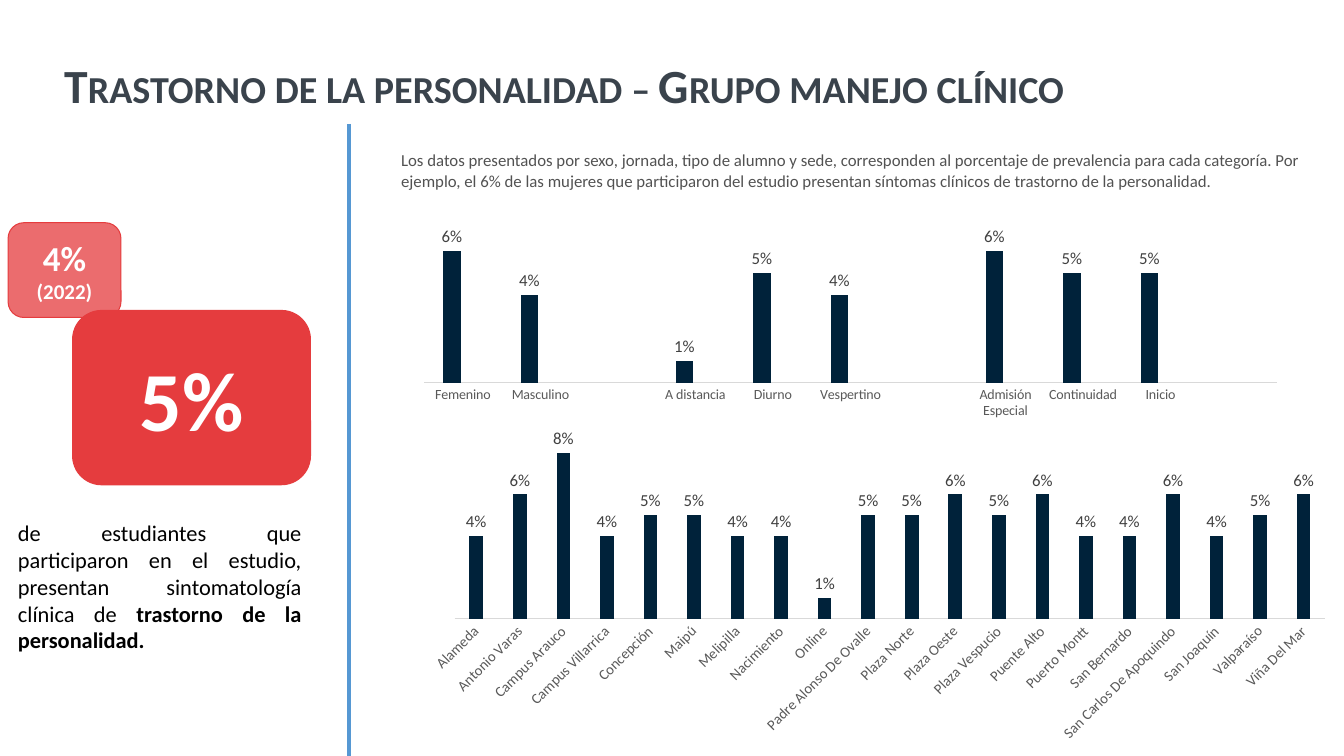
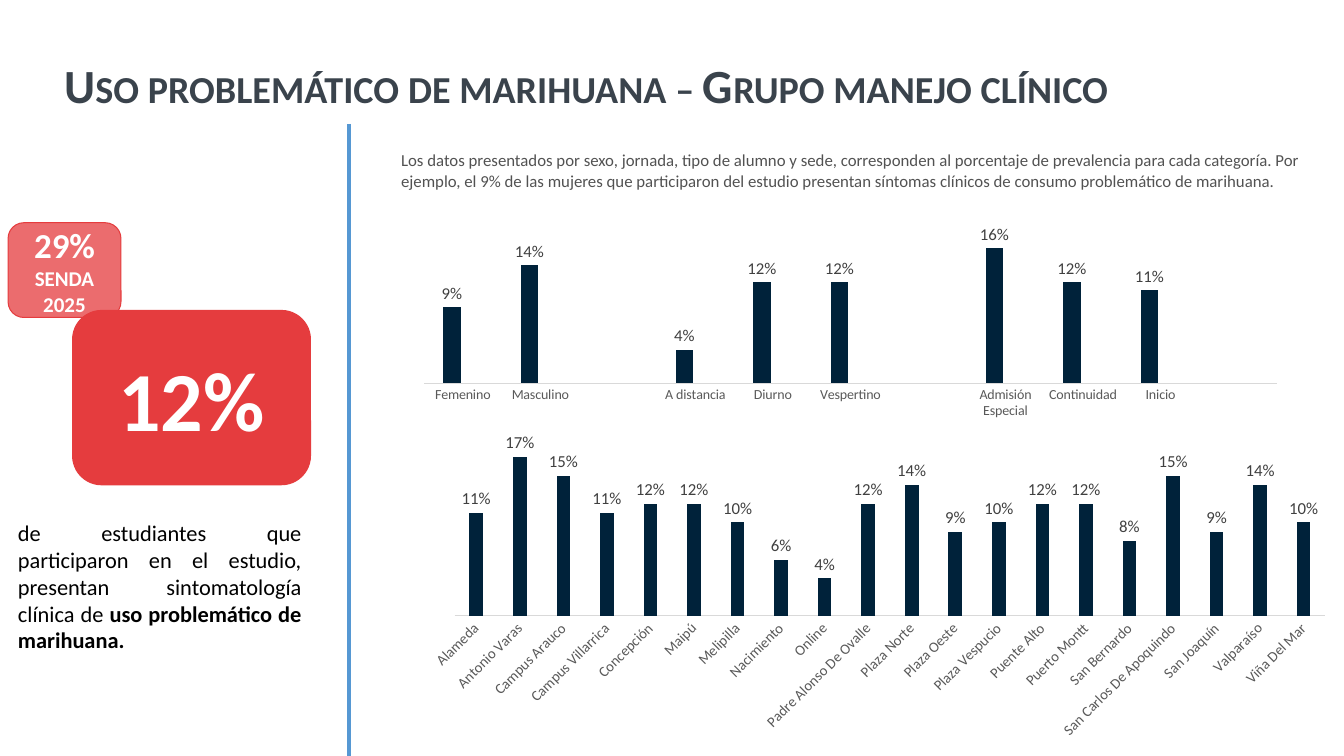
from dataclasses import dataclass
from typing import Any

from lxml.etree import SubElement
from pptx import Presentation
from pptx.chart.data import CategoryChartData
from pptx.dml.color import RGBColor
from pptx.enum.chart import XL_CHART_TYPE as ChartType
from pptx.enum.chart import XL_LABEL_POSITION as LabelPosition
from pptx.enum.chart import XL_TICK_MARK as TickMark
from pptx.enum.shapes import MSO_AUTO_SHAPE_TYPE as ShapeType
from pptx.enum.shapes import MSO_CONNECTOR_TYPE as ConnectorType
from pptx.enum.text import MSO_ANCHOR as Anchor
from pptx.enum.text import PP_ALIGN as Align
from pptx.oxml import parse_xml
from pptx.oxml.ns import nsdecls, qn
from pptx.util import Inches, Pt

RED, WHITE, BLACK, NAVY = "E53C3E", "FFFFFF", "000000", "00223A"
TITLE, NOTE, DIVIDER = "3A434C", "525252", "5698D3"
AXIS_LINE, AXIS_TEXT, LABEL_TEXT = "D9D9D9", "595959", "404040"

GROUPS = (
    "Femenino", "Masculino", " ", "A distancia", "Diurno", "Vespertino", " ",
    "Admisión Especial", "Continuidad", "Inicio", " ",
)
CAMPUSES = (
    "Alameda", "Antonio Varas", "Campus Arauco", "Campus Villarrica",
    "Concepción", "Maipú", "Melipilla", "Nacimiento", "Online",
    "Padre Alonso De Ovalle", "Plaza Norte", "Plaza Oeste", "Plaza Vespucio",
    "Puente Alto", "Puerto Montt", "San Bernardo", "San Carlos De Apoquindo",
    "San Joaquín", "Valparaíso", "Viña Del Mar",
)


@dataclass(frozen=True)
class Box:
    left: float
    top: float
    width: float
    height: float

    def lengths(self) -> tuple:
        return tuple(map(Inches, (self.left, self.top, self.width, self.height)))


@dataclass(frozen=True)
class Run:
    text: str
    size: float
    color: str
    bold: bool = False


@dataclass(frozen=True)
class ColumnChart:
    box: Box
    plot: Box
    categories: tuple
    series: tuple
    maximum: float
    axis_size: float
    rotation: int = 0


@dataclass(frozen=True)
class Topic:
    title: str
    women: str
    symptom: str
    condition: str
    share: str
    reference: str
    reference_source: str
    group_values: tuple
    group_maximum: float
    campus_values: tuple
    campus_maximum: float
    campus_top: float


TOPICS = (
    Topic(
        "Trastorno de la personalidad – Grupo manejo clínico",
        "6%", "trastorno de la personalidad", "trastorno de la personalidad.",
        "5%", "4%", "(2022)",
        (0.06, 0.04, None, 0.01, 0.05, 0.04, None, 0.06, 0.05, 0.05, None), 0.07,
        (0.04, 0.06, 0.08, 0.04, 0.05, 0.05, 0.04, 0.04, 0.01, 0.05,
         0.05, 0.06, 0.05, 0.06, 0.04, 0.04, 0.06, 0.04, 0.05, 0.06), 0.09, 4.22,
    ),
    Topic(
        "Uso problemático de marihuana – Grupo manejo clínico",
        "9%", "consumo problemático de marihuana", "uso problemático de marihuana.",
        "12%", "29%", "SENDA 2025",
        (0.09, 0.14, None, 0.04, 0.12, 0.12, None, 0.16, 0.12, 0.11, None), 0.18,
        (0.11, 0.17, 0.15, 0.11, 0.12, 0.12, 0.1, 0.06, 0.04, 0.12,
         0.14, 0.09, 0.1, 0.12, 0.12, 0.08, 0.15, 0.09, 0.14, 0.1), 0.2, 4.19,
    ),
)


def rgb(color: str) -> RGBColor:
    return RGBColor.from_string(color)


def set_attributes(target: Any, values: dict) -> None:
    for name, value in values.items():
        setattr(target, name, value)


def style_font(font: Any, size: float, color: str, bold: bool = False, name: str = "Calibri") -> None:
    set_attributes(font, {"name": name, "size": Pt(size), "bold": bold})
    font.color.rgb = rgb(color)


def write_text(shape: Any, paragraphs: list, align: Any = Align.LEFT, anchor: Any = Anchor.TOP) -> None:
    frame = shape.text_frame
    set_attributes(frame, {"word_wrap": True, "vertical_anchor": anchor})
    for index, runs in enumerate(paragraphs):
        paragraph = frame.add_paragraph() if index else frame.paragraphs[0]
        paragraph.alignment = align
        for item in runs:
            run = paragraph.add_run()
            run.text = item.text
            style_font(run.font, item.size, item.color, item.bold)


def add_text(slide: Any, box: Box, runs: list, **layout: Any) -> Any:
    shape = slide.shapes.add_textbox(*box.lengths())
    write_text(shape, [runs], **layout)
    return shape


def add_title(slide: Any, text: str) -> None:
    shape = add_text(slide, Box(0.54, 0.4, 12.73, 0.94), [Run(text, 34, TITLE, True)], anchor=Anchor.MIDDLE)
    paragraph = shape.text_frame.paragraphs[0]
    paragraph.line_spacing = 0.9
    paragraph.runs[0].font._element.set("cap", "small")


def add_divider(slide: Any) -> None:
    ends = map(Inches, (3.46, 1.23, 3.46, 7.5))
    line = slide.shapes.add_connector(ConnectorType.STRAIGHT, *ends)
    line.line.color.rgb = rgb(DIVIDER)
    line.line.width = Pt(3)
    SubElement(line._element.spPr, qn("a:effectLst"))


def add_badge(slide: Any, box: Box, paragraphs: list, opacity: int = 100) -> None:
    shape = slide.shapes.add_shape(ShapeType.ROUNDED_RECTANGLE, *box.lengths())
    shape.shadow.inherit = False
    shape.fill.solid()
    shape.fill.fore_color.rgb = rgb(RED)
    shape.line.color.rgb = rgb(RED)
    shape.line.width = Pt(0.75)
    if opacity < 100:
        color = shape._element.spPr.find(qn("a:solidFill")).find(qn("a:srgbClr"))
        SubElement(color, qn("a:alpha")).set("val", str(opacity * 1000))
    write_text(shape, paragraphs, Align.CENTER, Anchor.MIDDLE)


def set_plot_layout(chart: Any, plot: Box) -> None:
    area = chart._chartSpace.chart.plotArea
    for layout in area.findall(qn("c:layout")):
        area.remove(layout)
    fractions = {"x": plot.left, "y": plot.top, "w": plot.width, "h": plot.height}
    sizes = "".join(f'<c:{name} val="{value}"/>' for name, value in fractions.items())
    area.insert(0, parse_xml(
        f'<c:layout {nsdecls("c")}><c:manualLayout><c:layoutTarget val="inner"/>'
        f'<c:xMode val="edge"/><c:yMode val="edge"/>{sizes}</c:manualLayout></c:layout>'
    ))


def add_columns(slide: Any, columns: ColumnChart) -> None:
    data = CategoryChartData(number_format="0%")
    data.categories = columns.categories
    for number, values in enumerate(columns.series, 1):
        data.add_series(f"Series {number}", values)
    frame = slide.shapes.add_chart(ChartType.COLUMN_CLUSTERED, *columns.box.lengths(), data)
    chart = frame.chart
    set_attributes(chart, {"has_title": False, "has_legend": False})
    style_font(chart.font, 10, BLACK, name="Arial")
    set_plot_layout(chart, columns.plot)

    plot = chart.plots[0]
    set_attributes(plot, {"gap_width": 219, "overlap": -27, "vary_by_categories": False, "has_data_labels": True})
    set_attributes(plot.data_labels, {
        "show_value": True, "position": LabelPosition.OUTSIDE_END,
        "number_format": "0%", "number_format_is_linked": False,
    })
    style_font(plot.data_labels.font, 12, LABEL_TEXT)
    for series in plot.series:
        series.format.fill.solid()
        series.format.fill.fore_color.rgb = rgb(NAVY)

    set_attributes(chart.value_axis, {
        "visible": False, "has_major_gridlines": False,
        "minimum_scale": 0, "maximum_scale": columns.maximum,
    })
    axis = chart.category_axis
    set_attributes(axis, {"major_tick_mark": TickMark.NONE, "minor_tick_mark": TickMark.NONE})
    style_font(axis.tick_labels.font, columns.axis_size, AXIS_TEXT)
    axis.format.line.color.rgb = rgb(AXIS_LINE)
    axis.format.line.width = Pt(0.75)
    if columns.rotation:
        body = axis._element.find(qn("c:txPr")).find(qn("a:bodyPr"))
        body.set("rot", str(columns.rotation * 60000))


def add_topic(presentation: Any, topic: Topic) -> None:
    slide = presentation.slides.add_slide(presentation.slide_layouts[6])
    add_title(slide, topic.title)
    note = (
        "Los datos presentados por sexo, jornada, tipo de alumno y sede, corresponden al porcentaje "
        f"de prevalencia para cada categoría. Por ejemplo, el {topic.women} de las mujeres que "
        f"participaron del estudio presentan síntomas clínicos de {topic.symptom}."
    )
    add_text(slide, Box(3.88, 1.44, 9.26, 0.5), [Run(note, 12, NOTE)])
    add_columns(slide, ColumnChart(
        Box(4.03, 2.23, 8.81, 1.96), Box(0.02, 0.02, 0.96, 0.78), GROUPS,
        (topic.group_values, (None,) * len(GROUPS)), topic.group_maximum, 10,
    ))
    add_divider(slide)
    add_badge(slide, Box(0.72, 3.08, 2.36, 1.73), [[Run(topic.share, 60, WHITE, True)]])
    add_text(slide, Box(0.08, 5.1, 3.01, 1.45), [
        Run("de estudiantes que participaron en el estudio, presentan sintomatología clínica de ", 16, BLACK),
        Run(topic.condition, 16, BLACK, True),
    ], align=Align.JUSTIFY)
    add_badge(slide, Box(0.08, 2.21, 1.12, 0.94), [
        [Run(topic.reference, 25, WHITE, True)],
        [Run(topic.reference_source, 15, WHITE, True)],
    ], opacity=75)
    add_columns(slide, ColumnChart(
        Box(4.14, topic.campus_top, 9.19, 3.2), Box(0.04, 0.02, 0.94, 0.58), CAMPUSES,
        (topic.campus_values,), topic.campus_maximum, 10.5, -45,
    ))


def main() -> None:
    """Build the clinical management slides and save them."""
    presentation = Presentation()
    set_attributes(presentation, {"slide_width": Inches(13.33), "slide_height": Inches(7.5)})
    for topic in TOPICS:
        add_topic(presentation, topic)
    presentation.save("out.pptx")


if __name__ == "__main__":
    main()
